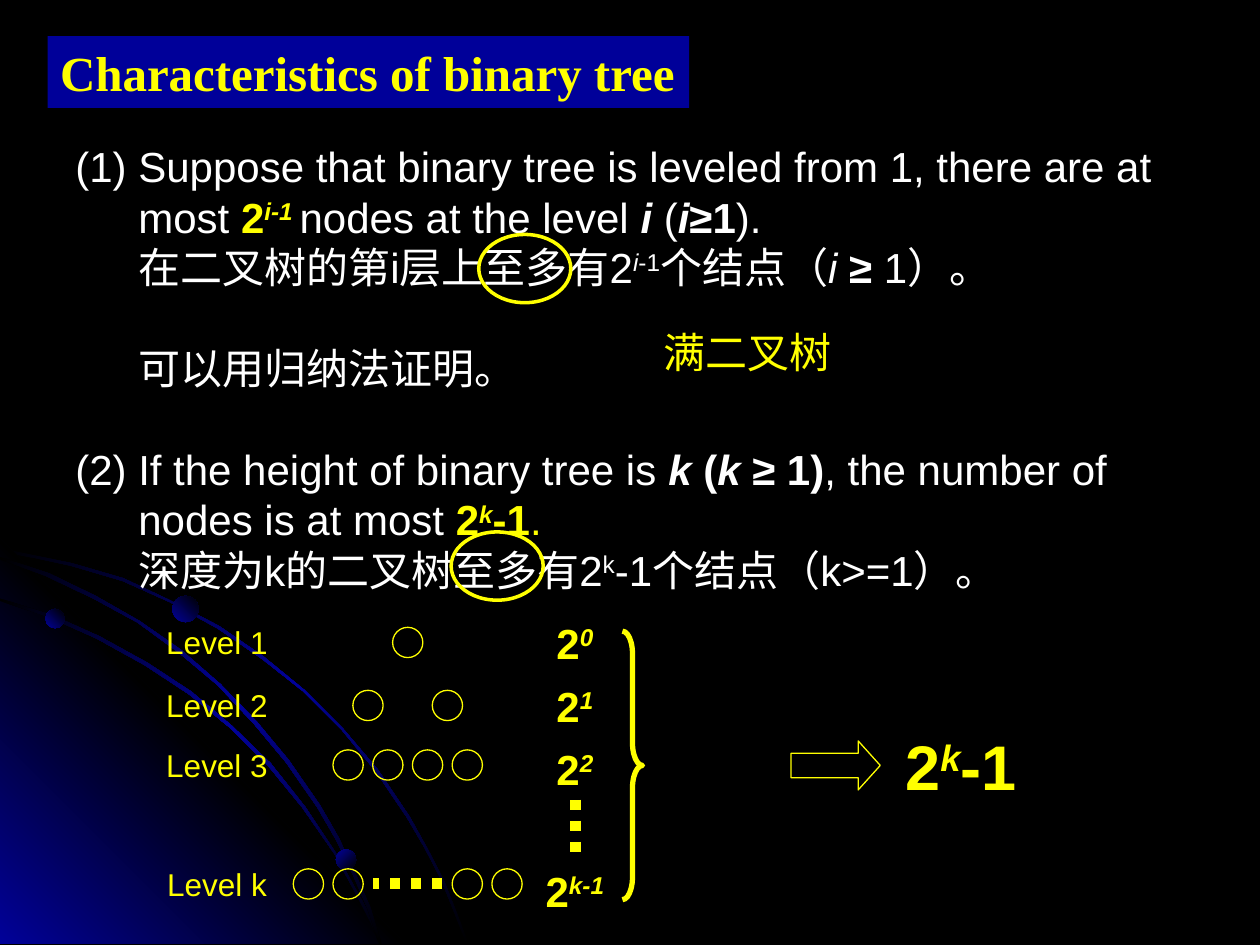
from copy import deepcopy

from lxml import etree
from pptx import Presentation
from pptx.dml.color import RGBColor
from pptx.enum import dml, shapes, text
from pptx.oxml.ns import qn
from pptx.util import Pt

BLACK = RGBColor(0x00, 0x00, 0x00)
WHITE = RGBColor(0xFF, 0xFF, 0xFF)
YELLOW = RGBColor(0xFF, 0xFF, 0x00)
TITLE_BLUE = RGBColor(0x00, 0x00, 0x99)
GLOW_BLUE = RGBColor(0x01, 0x01, 0x99)
CJK_FONT = "Noto Sans CJK SC"
CENTER = text.PP_ALIGN.CENTER
SHAPE = shapes.MSO_SHAPE


def add_runs(para, parts, size, colour=YELLOW, name="Arial"):
    """Add (text, style) runs; style letters: b bold, i italic, ^ raised, y yellow."""
    for words, style in parts:
        span = para.add_run()
        span.text = words
        font = span.font
        font.size, font.name = Pt(size), name
        font.bold, font.italic = "b" in style, "i" in style
        font.color.rgb = YELLOW if "y" in style else colour
        properties = span._r.get_or_add_rPr()
        if "^" in style:
            properties.set("baseline", "30000")
        etree.SubElement(properties, qn("a:ea")).set("typeface", CJK_FONT)


def add_outline(kind, left, top, width, height, weight):
    shape = page.shapes.add_shape(kind, Pt(left), Pt(top), Pt(width), Pt(height))
    shape.shadow.inherit = False
    shape.fill.background()
    shape.line.color.rgb = YELLOW
    shape.line.width = Pt(weight)
    return shape


deck = Presentation()
deck.slide_width, deck.slide_height = Pt(720), Pt(540)
page = deck.slides.add_slide(deck.slide_layouts[6])
page.background.fill.solid()
page.background.fill.fore_color.rgb = BLACK

# Glowing corner, its arcs and planets; outline points in hundredths of an inch
outer_arc = [
    (57, 447), (28, 441), (0, 435), (0, 438), (28, 443), (56, 449), (97, 461),
    (135, 478), (173, 499), (208, 523), (241, 549), (271, 579), (298, 612),
    (323, 649), (337, 673), (350, 698), (360, 723), (370, 749), (372, 749),
    (362, 723), (352, 698), (339, 673), (325, 648), (300, 611), (272, 578),
    (242, 548), (209, 521), (174, 497), (136, 477), (98, 459)]
corner = [(322, 749), (0, 749), (0, 427)]
inner_arc = [
    (285, 714), (294, 732), (301, 749), (303, 749), (296, 730), (286, 712),
    (266, 676), (242, 640), (215, 606), (184, 576), (152, 549), (117, 526),
    (79, 505), (41, 488), (0, 475), (0, 477), (39, 490), (77, 507), (115, 528),
    (150, 551), (183, 578), (213, 608), (240, 641), (265, 677)]
middle_arc = [
    (0, 442), (0, 444), (36, 457), (74, 475), (109, 494), (142, 518), (173, 544),
    (202, 575), (227, 605), (252, 641), (267, 667), (280, 694), (292, 722),
    (301, 749), (303, 749), (294, 720), (282, 693), (269, 665), (254, 639),
    (229, 603), (204, 573), (175, 543), (144, 516), (111, 493), (76, 473), (39, 455)]
arc_colours = (BLACK, GLOW_BLUE, BLACK)
corner_colours = (GLOW_BLUE, BLACK, GLOW_BLUE)
planet_colours = (GLOW_BLUE, BLACK)

glows = []
for points, colours, angle in [(outer_arc, arc_colours, 315), (corner, corner_colours, 45),
                               (inner_arc, arc_colours, 315), (middle_arc, arc_colours, 315)]:
    builder = page.shapes.build_freeform(*points[0], scale=Pt(0.72))
    builder.add_line_segments(points[1:], close=True)
    glows.append((builder.convert_to_shape(), colours, angle))
for left, top, size, angle in [(26, 348, 11, 45), (192, 485.5, 11.5, 315), (98.5, 340.5, 15, 45)]:
    planet = page.shapes.add_shape(SHAPE.OVAL, Pt(left), Pt(top), Pt(size), Pt(size))
    glows.append((planet, planet_colours, angle))

for shape, colours, angle in glows:
    shape.shadow.inherit = False
    shape.line.fill.background()
    shape.fill.gradient()
    shape.fill.gradient_angle = angle
    stops = shape._element.spPr.find(".//" + qn("a:gsLst"))
    if len(colours) == 3:
        stops.insert(1, deepcopy(stops[0]))
    for index, stop in enumerate(shape.fill.gradient_stops):
        stop.color.rgb = colours[index]
        stop.position = index / (len(colours) - 1)

# Two properties, each in English and Chinese: (hanging, gap before, runs)
LINE = 28.8
properties_text = [
    (True, 0, [("(1) Suppose that binary tree is leveled from 1, there are at most ", ""),
               ("2", "by"), ("i-1 ", "biy^"), ("nodes at the level ", ""), ("i", "bi"),
               (" (", ""), ("i", "bi"), ("≥1", "b"), (").", "")]),
    (False, 0, [("在二叉树的第i层上至多有2", ""), ("i", "i^"), ("-1", "^"), ("个结点（", ""),
                ("i ", "i"), ("≥", "b"), (" 1）。", "")]),
    (False, LINE, [("可以用归纳法证明。", "")]),
    (True, LINE, [("(2) If the height of binary tree is ", ""), ("k ", "bi"), ("(", "b"),
                  ("k ", "bi"), ("≥ 1)", "b"), (", the number of nodes is at most ", ""),
                  ("2", "by"), ("k", "biy^"), ("-1", "by"), (".", "y")]),
    (False, 0, [("深度为k的二叉树至多有2", ""), ("k", "^"), ("-1个结点（k>=1）。", "")]),
]
body = page.shapes.add_textbox(Pt(36), Pt(77), Pt(665), Pt(269)).text_frame
body.word_wrap = True
for index, (hanging, gap, parts) in enumerate(properties_text):
    para = body.add_paragraph() if index else body.paragraphs[0]
    para.line_spacing = Pt(LINE)
    if gap:
        para.space_before = Pt(gap)
    layout = para._p.get_or_add_pPr()
    layout.set("marL", str(Pt(36)))
    layout.set("indent", str(Pt(-36 if hanging else 0)))
    add_runs(para, parts, 24, WHITE)

# Tree levels: circles are placed in steps from the tree's axis
AXIS, STEP, CIRCLE = 233, 22.7, 17.3
levels = [
    ("1", "0", 358.5, 349.2, (0,)),
    ("2", "1", 394.5, 385.2, (-1, 1)),
    ("3", "2", 428.5, 421.2, (-1.5, -0.5, 0.5, 1.5)),
    ("k", "k-1", 496.5, 491, (-2.5, -1.5, 1.5, 2.5)),
]
captions = [
    (509, 412, 80.5, 51, 36, [("2", "b"), ("k", "bi^"), ("-1", "b")], "Arial"),
    (369.5, 183, 115, 36, 24, [("满二叉树", "")], CJK_FONT),
]
for level, power, top, power_top, offsets in levels:
    captions.append((87.5, top - 5.8, 73, 29, 18, [("Level " + level, "")], "Arial"))
    captions.append((303, power_top, 51, 36, 24, [("2", "b"), (power, "bi^")], "Arial"))
    for offset in offsets:
        add_outline(SHAPE.OVAL, AXIS + offset * STEP - CIRCLE / 2, top, CIRCLE, CIRCLE, 0.75)

for left, top, width, height, size, parts, name in captions:
    box = page.shapes.add_textbox(Pt(left), Pt(top), Pt(width), Pt(height))
    box.text_frame.word_wrap = False
    para = box.text_frame.paragraphs[0]
    para.alignment = CENTER
    add_runs(para, parts, size, name=name)

for start_x, start_y, end_x, end_y in [(329, 457, 329, 491), (252.7, 505, 213, 505)]:
    dots = page.shapes.add_connector(shapes.MSO_CONNECTOR.STRAIGHT,
                                     Pt(start_x), Pt(start_y), Pt(end_x), Pt(end_y))
    dots.line.color.rgb = YELLOW
    dots.line.width = Pt(6)
    dots.line.dash_style = dml.MSO_LINE.ROUND_DOT
    etree.SubElement(dots._element.spPr, qn("a:effectLst"))

brace = add_outline(SHAPE.RIGHT_BRACE, 355.7, 360.7, 11.5, 153.4, 3)
brace.adjustments[0] = 1.12
arrow = add_outline(SHAPE.RIGHT_ARROW, 452, 423.4, 51, 28, 0.75)
arrow.adjustments[1] = 0.45

# Rings around "at most"
for left, top in [(273.6, 134), (257.8, 304)]:
    add_outline(SHAPE.OVAL, left, top, 52.6, 39, 2)

title = page.shapes.add_shape(SHAPE.RECTANGLE, Pt(27.2), Pt(20.7), Pt(366.6), Pt(41))
title.shadow.inherit = False
title.fill.solid()
title.fill.fore_color.rgb = TITLE_BLUE
title.line.fill.background()
title.text_frame.word_wrap = False
para = title.text_frame.paragraphs[0]
para.alignment = text.PP_ALIGN.LEFT
add_runs(para, [("Characteristics of binary tree", "b")], 28, name="Times New Roman")

deck.save("out.pptx")
